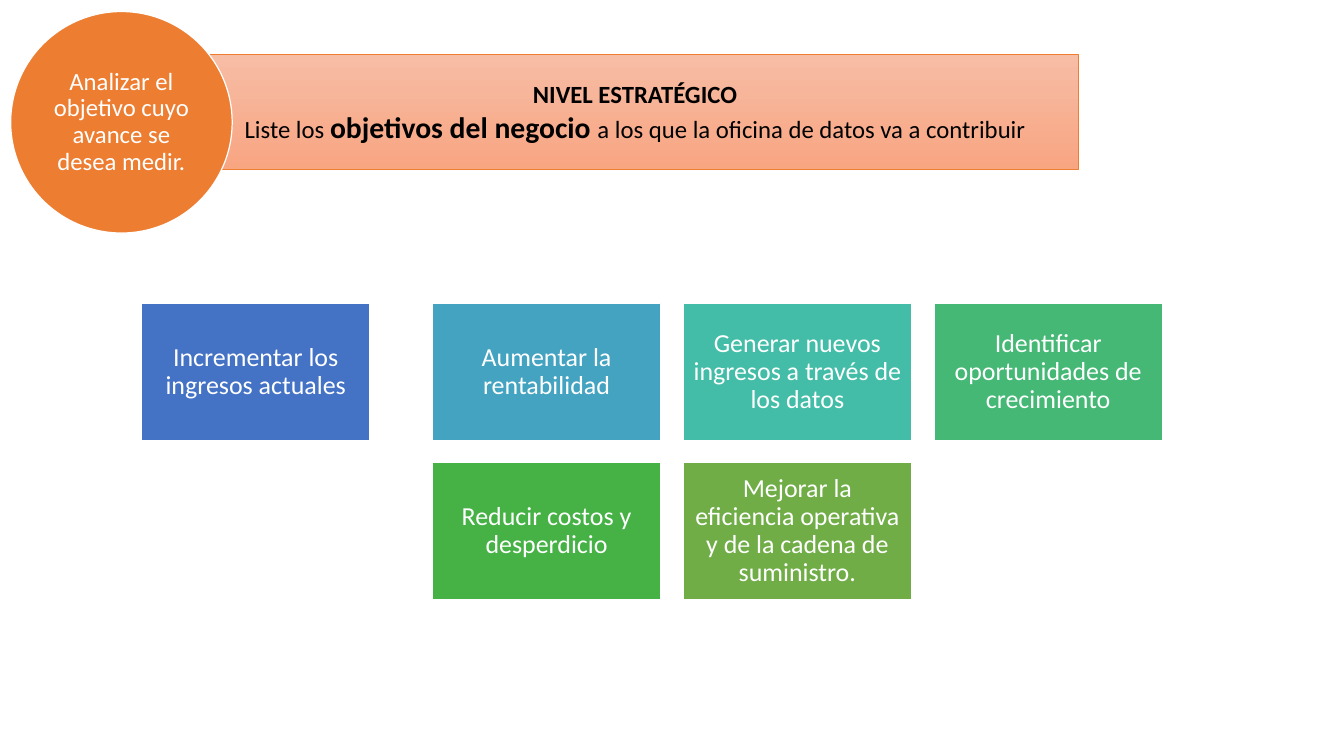
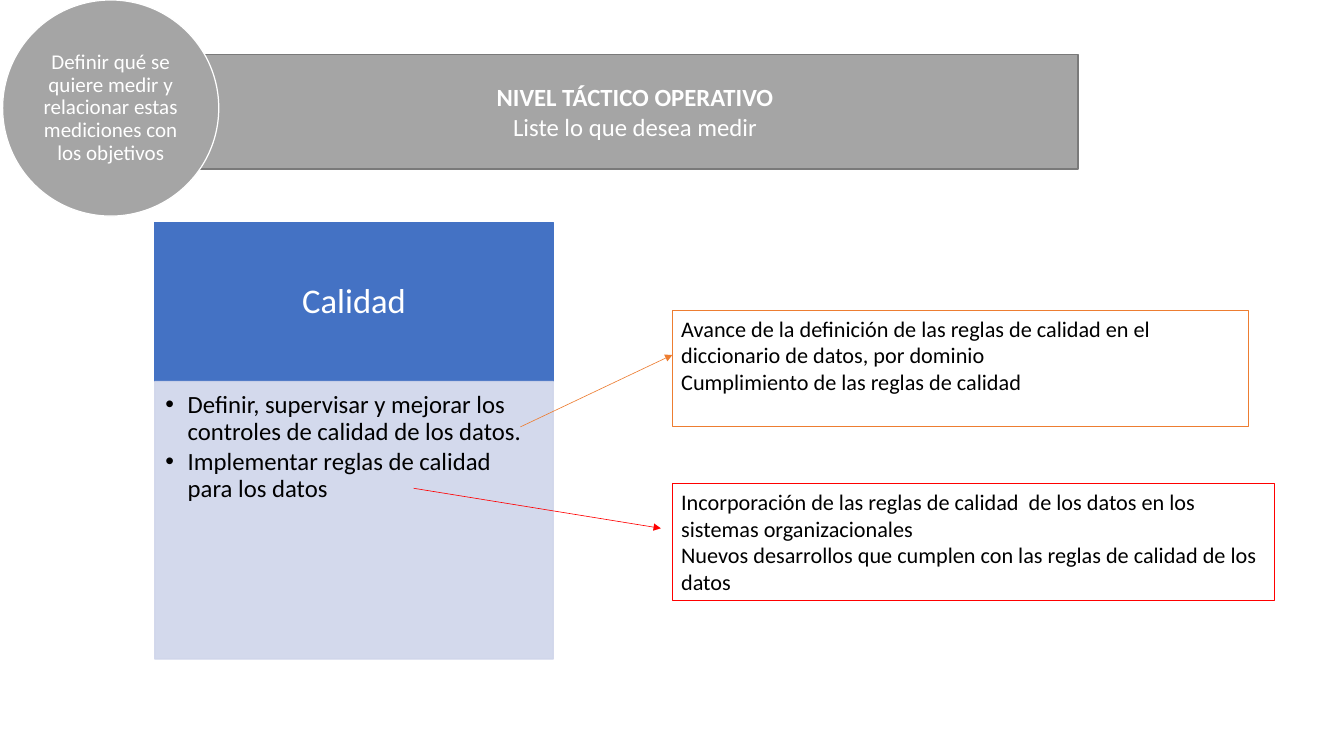
from lxml import etree
from pptx import Presentation
from pptx.dml.color import RGBColor
from pptx.enum.shapes import MSO_CONNECTOR, MSO_SHAPE
from pptx.enum.text import MSO_ANCHOR, MSO_AUTO_SIZE, PP_ALIGN
from pptx.oxml.ns import qn
from pptx.util import Inches, Pt

RECT, OVAL = MSO_SHAPE.RECTANGLE, MSO_SHAPE.OVAL
STRAIGHT = MSO_CONNECTOR.STRAIGHT
TOP, MIDDLE = MSO_ANCHOR.TOP, MSO_ANCHOR.MIDDLE
LEFT, CENTER = PP_ALIGN.LEFT, PP_ALIGN.CENTER

# Shared look
FONT = "Calibri"
COLORS = {
    "white": "FFFFFF", "black": "000000", "orange": "ED7D31", "red": "FF0000",
    "peach": "F7BDA5", "salmon": "F8A582", "gray": "A5A5A5", "dark": "7A7A7A",
    "blue": "4472C4", "sky": "44A3C0", "teal": "43BDA7", "mint": "44B874",
    "green": "46B246", "olive": "70AD47", "pale": "CFD5EA",
}
BANNER = (2.16, 0.61, 9.96, 1.29)

# Content: a paragraph is a list of (text, size, bold) runs
GOAL = {
    "title": [[("NIVEL ESTRATÉGICO", 20, True)],
              [("Liste los ", 20, False), ("objetivos del negocio ", 24, True),
               ("a los que la oficina de datos va a contribuir", 20, False)]],
    "fills": ("peach", "salmon"), "edge": ("orange", 0.5), "ink": "black",
    "step": "Analizar el objetivo cuyo avance se desea medir.",
    "disc": (0.12, 0.13, 2.49), "tone": "orange", "size": 20, "pad": 0.03,
}
CARDS = [  # row, column, colour, text
    (0, 0, "blue", "Incrementar los ingresos actuales"),
    (0, 1, "sky", "Aumentar la rentabilidad"),
    (0, 2, "teal", "Generar nuevos ingresos a través de los datos"),
    (0, 3, "mint", "Identificar oportunidades de crecimiento"),
    (1, 1, "green", "Reducir costos y desperdicio"),
    (1, 2, "olive", "Mejorar la eficiencia operativa y de la cadena de suministro."),
]
TACTIC = {
    "title": [[("NIVEL TÁCTICO OPERATIVO", 20, True)],
              [("Liste lo que desea medir", 20, False)]],
    "fills": ("gray",), "edge": ("dark", 1), "ink": "white",
    "step": "Definir qué se quiere medir y relacionar estas mediciones con los objetivos",
    "disc": (0.03, 0, 2.43), "tone": "gray", "size": 17, "pad": 0.02,
}
THEME = "Calidad"
TASKS = ["Definir, supervisar y mejorar los controles de calidad de los datos.",
         "Implementar reglas de calidad para los datos"]
NOTES = [  # colour, box top, box width, arrow start, arrow end, lines
    ("orange", 3.49, 6.48, (5.85, 4.8), (7.56, 3.99),
     ["Avance de la definición de las reglas de calidad en el diccionario de datos, por dominio",
      "Cumplimiento de las reglas de calidad"]),
    ("red", 5.44, 6.77, (4.65, 5.49), (7.43, 5.94),
     ["Incorporación de las reglas de calidad  de los datos en los sistemas organizacionales",
      "Nuevos desarrollos que cumplen con las reglas de calidad de los datos"]),
]


def rgb(name):
    return RGBColor.from_string(COLORS[name])


def plain(lines, size):
    return [[(line, size, False)] for line in lines]


def outline(shape, color, width):
    shape.line.color.rgb = rgb(color)
    shape.line.width = Pt(width)


def write(shape, paras, ink, align=CENTER, anchor=MIDDLE, pads=None, lead=0.9):
    frame = shape.text_frame
    frame.word_wrap = True
    frame.auto_size = MSO_AUTO_SIZE.NONE
    frame.vertical_anchor = anchor
    (frame.margin_left, frame.margin_top, frame.margin_right,
     frame.margin_bottom) = [Inches(p) for p in pads or (0.1, 0.05, 0.1, 0.05)]
    for i, runs in enumerate(paras):
        para = frame.add_paragraph() if i else frame.paragraphs[0]
        para.alignment = align
        para.line_spacing = lead
        para.space_before = Pt(0)
        for text, size, bold in runs:
            run = para.add_run()
            run.text = text
            run.font.name = FONT
            run.font.size = Pt(size)
            run.font.bold = bold
            run.font.color.rgb = rgb(ink)
    return frame


def block(slide, kind, area, fill, edge):
    shape = slide.shapes.add_shape(kind, *[Inches(v) for v in area])
    shape.shadow.inherit = False
    shape.fill.solid()
    shape.fill.fore_color.rgb = rgb(fill)
    outline(shape, edge, 1)
    return shape


def fade(shape, percent):
    for color in shape.element.spPr.iter(qn("a:srgbClr")):
        etree.SubElement(color, qn("a:alpha"), val=str(percent * 1000))


def bullet(para):
    props = para._p.get_or_add_pPr()
    props.set("marL", str(Inches(0.25)))
    props.set("indent", str(Inches(-0.25)))
    etree.SubElement(props, qn("a:buFont"), typeface="Arial")
    etree.SubElement(props, qn("a:buChar"), char="•")


def arrow(slide, start, end, color):
    line = slide.shapes.add_connector(STRAIGHT, *[Inches(v) for v in start + end])
    outline(line, color, 0.5)
    etree.SubElement(line.line._get_or_add_ln(), qn("a:tailEnd"), type="triangle")
    etree.SubElement(line._element.spPr, qn("a:effectLst"))


def level(deck, data):
    """Add a slide with its title banner and step disc."""
    slide = deck.slides.add_slide(deck.slide_layouts[5])
    title = slide.shapes.title
    title.left, title.top, title.width, title.height = [Inches(v) for v in BANNER]
    # Rounded outline for the title
    shape = etree.SubElement(title.element.spPr, qn("a:prstGeom"), prst="roundRect")
    etree.SubElement(shape, qn("a:avLst"))
    if len(data["fills"]) > 1:
        title.fill.gradient()
        title.fill.gradient_angle = 270
        for stop, name in zip(title.fill.gradient_stops, data["fills"]):
            stop.color.rgb = rgb(name)
    else:
        title.fill.solid()
        title.fill.fore_color.rgb = rgb(data["fills"][0])
    outline(title, *data["edge"])
    write(title, data["title"], data["ink"], lead=1.0)
    # Step disc
    x, y, side = data["disc"]
    disc = block(slide, OVAL, (x, y, side, side), data["tone"], "white")
    write(disc, plain([data["step"]], data["size"]), "white", pads=[data["pad"]] * 4)
    return slide


def goals(deck):
    slide = level(deck, GOAL)
    wide, high, gap = 2.57, 1.54, 0.25
    for row, col, color, text in CARDS:
        x = 4.86 + (col - 1) * (wide + gap) if col else 1.59
        y = 3.41 + row * (high + gap)
        card = block(slide, RECT, (x, y, wide, high), color, "white")
        write(card, plain([text], 21), "white", pads=[0.09] * 4)


def tactics(deck):
    slide = level(deck, TACTIC)
    # Theme panel
    x, y, wide, head = 1.74, 2.5, 4.48, 1.79
    top = block(slide, RECT, (x, y, wide, head), "blue", "blue")
    write(top, plain([THEME], 28), "white", pads=(0.22, 0.12, 0.22, 0.12))
    body = block(slide, RECT, (x, y + head, wide, 3.12), "pale", "pale")
    fade(body, 90)
    frame = write(body, plain(TASKS, 20), "black", LEFT, TOP, (0.12, 0.12, 0.16, 0.17))
    for para in frame.paragraphs:
        para.space_after = Pt(3)
        bullet(para)
    # Measures and their arrows
    for color, y, wide, start, end, lines in NOTES:
        arrow(slide, start, end, color)
        note = slide.shapes.add_textbox(Inches(7.56), Inches(y), Inches(wide), Inches(1.31))
        outline(note, color, 0.75)
        write(note, plain(lines, 18), "black", LEFT, TOP, lead=1.0)


def main():
    deck = Presentation()
    deck.slide_width, deck.slide_height = Inches(15.11), Inches(8.5)
    goals(deck)
    tactics(deck)
    deck.save("out.pptx")


if __name__ == "__main__":
    main()
